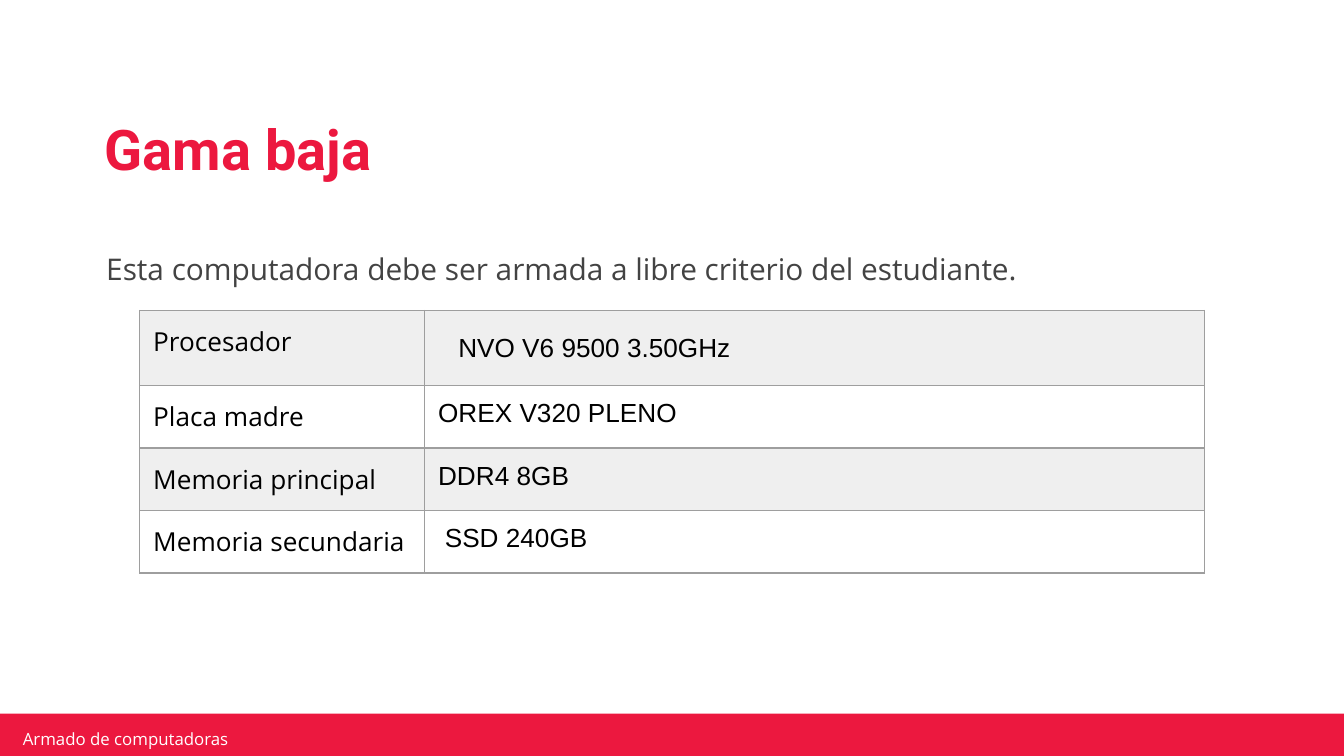
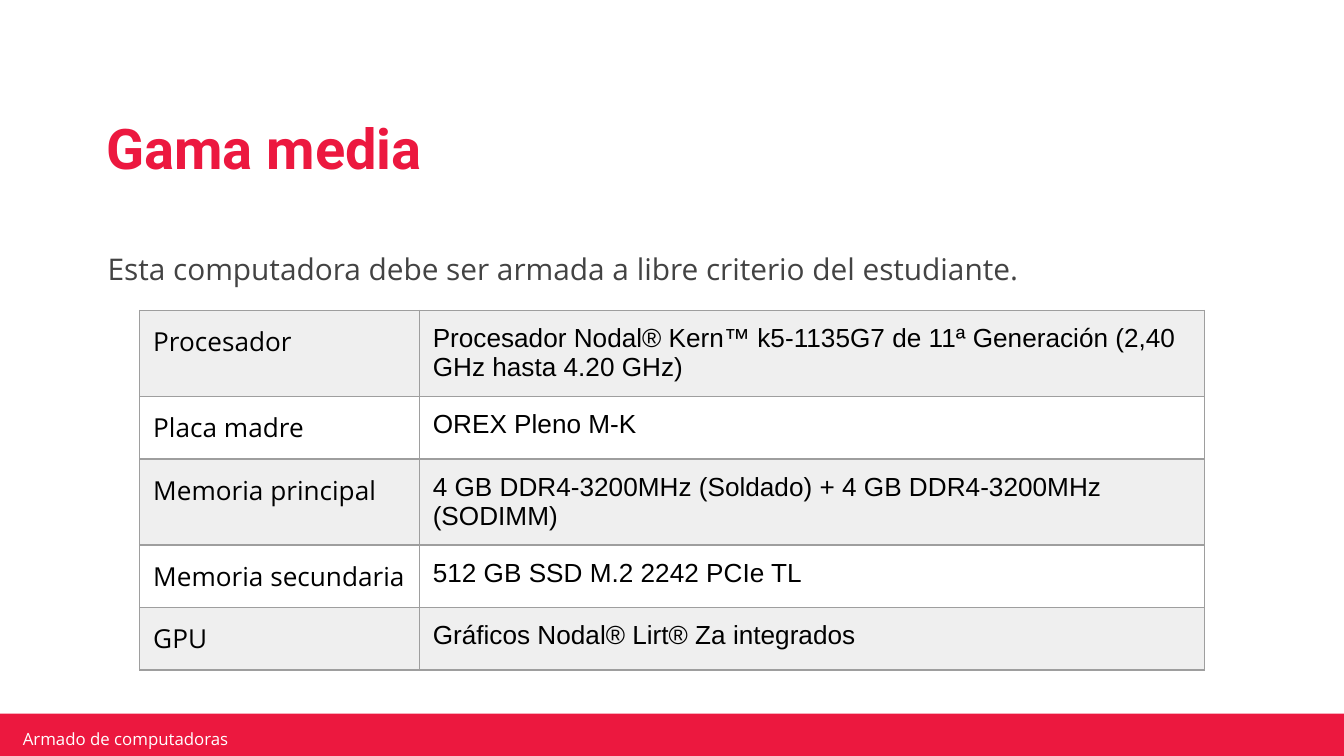
import pptx
import pptx.dml.color
import pptx.enum.dml
import pptx.enum.shapes
import pptx.enum.text
import pptx.oxml
import pptx.oxml.ns
import pptx.util
from pptx.util import Inches

COLORS = {
    "red": "EC183F",
    "pink": "FCD8D6",
    "white": "FFFFFF",
    "black": "000000",
    "body": "434343",
    "stripe": "EFEFEF",
    "border": "9E9E9E",
}
HEADING_FONT, BODY_FONT, VALUE_FONT = "Roboto", "Open Sans", "Arial"
INTRODUCTION = "Esta computadora debe ser armada a libre criterio del estudiante."
TABLE_LEFT, TABLE_TOP, TABLE_WIDTH = 1.04, 2.31, 7.92
CELL_MARGINS = (0.1, 0.1, 0.1, 0.1)

# Each row: label, value, height, margins of the value, value centred vertically.
SLIDES = [
    {
        "title": "Gama baja",
        "left": 0.69,
        "title_top": 0.67,
        "label_width": 2.12,
        "rows": [
            ("Procesador", "NVO V6 9500 3.50GHz", 0.55, (0.25, 0.17, 0.17, 0.17), True),
            ("Placa madre", "OREX V320 PLENO", 0.46, CELL_MARGINS, False),
            ("Memoria principal", "DDR4 8GB", 0.46, CELL_MARGINS, False),
            ("Memoria secundaria", "SSD 240GB", 0.46, (0.15, 0.1, 0.1, 0.1), False),
        ],
    },
    {
        "title": "Gama media",
        "left": 0.7,
        "title_top": 0.66,
        "label_width": 2.08,
        "rows": [
            ("Procesador",
             "Procesador Nodal® Kern™ k5-1135G7 de 11ª Generación "
             "(2,40 GHz hasta 4.20\u00a0GHz)", 0.64, CELL_MARGINS, False),
            ("Placa madre", "OREX Pleno M-K", 0.46, CELL_MARGINS, False),
            ("Memoria principal",
             "4 GB DDR4-3200MHz (Soldado) + 4 GB DDR4-3200MHz (SODIMM)",
             0.64, CELL_MARGINS, False),
            ("Memoria secundaria", "512 GB SSD M.2 2242 PCIe TL", 0.46, CELL_MARGINS, False),
            ("GPU", "Gráficos Nodal® Lirt® Za integrados", 0.46, CELL_MARGINS, False),
        ],
    },
]


def rgb(name):
    """Return the palette colour of that name."""
    return pptx.dml.color.RGBColor.from_string(COLORS[name])


def set_margins(target, margins):
    """Set left, top, right and bottom margins of a text frame or cell."""
    target.margin_left, target.margin_top, target.margin_right, target.margin_bottom = (
        Inches(margin) for margin in margins)


def add_run(paragraph, text, size, font, color, bold=False):
    """Add one formatted run to a left-aligned paragraph."""
    paragraph.alignment = pptx.enum.text.PP_ALIGN.LEFT
    run = paragraph.add_run()
    run.text = text
    run.font.size = pptx.util.Pt(size)
    run.font.name = font
    run.font.bold = bold
    run.font.color.rgb = rgb(color)


def place(shape, left, top, width, height):
    """Move and size a shape, in inches."""
    shape.left, shape.top = Inches(left), Inches(top)
    shape.width, shape.height = Inches(width), Inches(height)


def prepare_frame(shape, margins, anchor):
    """Set up a wrapping text frame and return its first paragraph."""
    frame = shape.text_frame
    frame.word_wrap = True
    frame.auto_size = pptx.enum.text.MSO_AUTO_SIZE.NONE
    frame.vertical_anchor = anchor
    set_margins(frame, margins)
    return frame.paragraphs[0]


def add_footer(slide, layout):
    """Build the footer band and hand it to the layout that all slides share."""
    rule = slide.shapes.add_connector(
        pptx.enum.shapes.MSO_CONNECTOR.STRAIGHT,
        Inches(-0.02), Inches(5.32), Inches(10.02), Inches(5.32))
    rule.line.color.rgb = rgb("pink")
    rule.line.width = pptx.util.Pt(0.75)
    rule.line.dash_style = pptx.enum.dml.MSO_LINE.ROUND_DOT
    rule.element.spPr.append(pptx.oxml.parse_xml(
        f'<a:effectLst {pptx.oxml.ns.nsdecls("a")}/>'))

    band = slide.shapes.add_shape(
        pptx.enum.shapes.MSO_SHAPE.RECTANGLE,
        Inches(-0.02), Inches(5.31), Inches(10.03), Inches(0.36))
    band.shadow.inherit = False
    band.fill.solid()
    band.fill.fore_color.rgb = rgb("red")
    band.line.fill.background()

    label = slide.shapes.add_textbox(
        Inches(0.12), Inches(5.42), Inches(2.39), Inches(0.15))
    paragraph = prepare_frame(label, (0.05, 0.02, 0.05, 0.02),
                              pptx.enum.text.MSO_ANCHOR.MIDDLE)
    add_run(paragraph, "Armado de computadoras", 9, BODY_FONT, "white")

    for number, shape in enumerate((rule, band, label), start=101):
        shape.element.xpath("./*/p:cNvPr")[0].set("id", str(number))
        layout.shapes.element.append(shape.element)


def fill_title(slide, text, left, top):
    """Place and format the slide title."""
    title = slide.shapes.title
    place(title, left, top, 8.4, 0.93)
    paragraph = prepare_frame(title, (0.09, 0.04, 0.09, 0.04),
                              pptx.enum.text.MSO_ANCHOR.MIDDLE)
    paragraph.line_spacing = 0.9
    add_run(paragraph, text, 30, HEADING_FONT, "red", bold=True)


def fill_introduction(slide, left):
    """Place the introductory sentence, without a bullet."""
    body = slide.placeholders[1]
    place(body, left, 1.68, 8.83, 0.3)
    paragraph = prepare_frame(body, (0.1, 0.05, 0.1, 0.05),
                              pptx.enum.text.MSO_ANCHOR.TOP)
    paragraph.line_spacing = 1.5
    paragraph.space_before = pptx.util.Pt(0)
    add_run(paragraph, INTRODUCTION, 16, BODY_FONT, "body")
    properties = paragraph._p.get_or_add_pPr()
    properties.set("marL", "0")
    properties.set("indent", "0")
    properties.append(pptx.oxml.parse_xml(
        f'<a:buNone {pptx.oxml.ns.nsdecls("a")}/>'))


def add_borders(cell):
    """Draw a thin grey line on the four sides of a cell."""
    properties = cell._tc.get_or_add_tcPr()
    for position, side in enumerate(("lnL", "lnR", "lnT", "lnB")):
        properties.insert(position, pptx.oxml.parse_xml(
            f'<a:{side} {pptx.oxml.ns.nsdecls("a")} w="{pptx.util.Pt(0.75)}">'
            f'<a:solidFill><a:srgbClr val="{COLORS["border"]}"/></a:solidFill>'
            f'</a:{side}>'))


def fill_cell(cell, text, font, fill, margins=CELL_MARGINS, centred=False):
    """Write and format one table cell."""
    anchors = pptx.enum.text.MSO_ANCHOR
    cell.vertical_anchor = anchors.MIDDLE if centred else anchors.TOP
    set_margins(cell, margins)
    cell.fill.solid()
    cell.fill.fore_color.rgb = rgb(fill)
    add_borders(cell)
    add_run(cell.text_frame.paragraphs[0], text, 14, font, "black")


def add_component_table(slide, rows, label_width):
    """Add the striped table of components."""
    height = sum(row[2] for row in rows)
    table = slide.shapes.add_table(
        len(rows), 2, Inches(TABLE_LEFT), Inches(TABLE_TOP),
        Inches(TABLE_WIDTH), Inches(height)).table
    table.first_row = False
    table.horz_banding = False
    table.columns[0].width = Inches(label_width)
    table.columns[1].width = Inches(TABLE_WIDTH - label_width)
    for index, (label, value, row_height, margins, centred) in enumerate(rows):
        fill = "white" if index % 2 else "stripe"
        table.rows[index].height = Inches(row_height)
        fill_cell(table.cell(index, 0), label, BODY_FONT, fill)
        fill_cell(table.cell(index, 1), value, VALUE_FONT, fill, margins, centred)


def main():
    """Build the presentation and save it."""
    presentation = pptx.Presentation()
    presentation.slide_width = Inches(10)
    presentation.slide_height = Inches(10) * 9 // 16
    layout = presentation.slide_layouts[1]
    for index, content in enumerate(SLIDES):
        slide = presentation.slides.add_slide(layout)
        if index == 0:
            add_footer(slide, layout)
        fill_title(slide, content["title"], content["left"], content["title_top"])
        add_component_table(slide, content["rows"], content["label_width"])
        fill_introduction(slide, content["left"])
    presentation.save("out.pptx")


if __name__ == "__main__":
    main()
